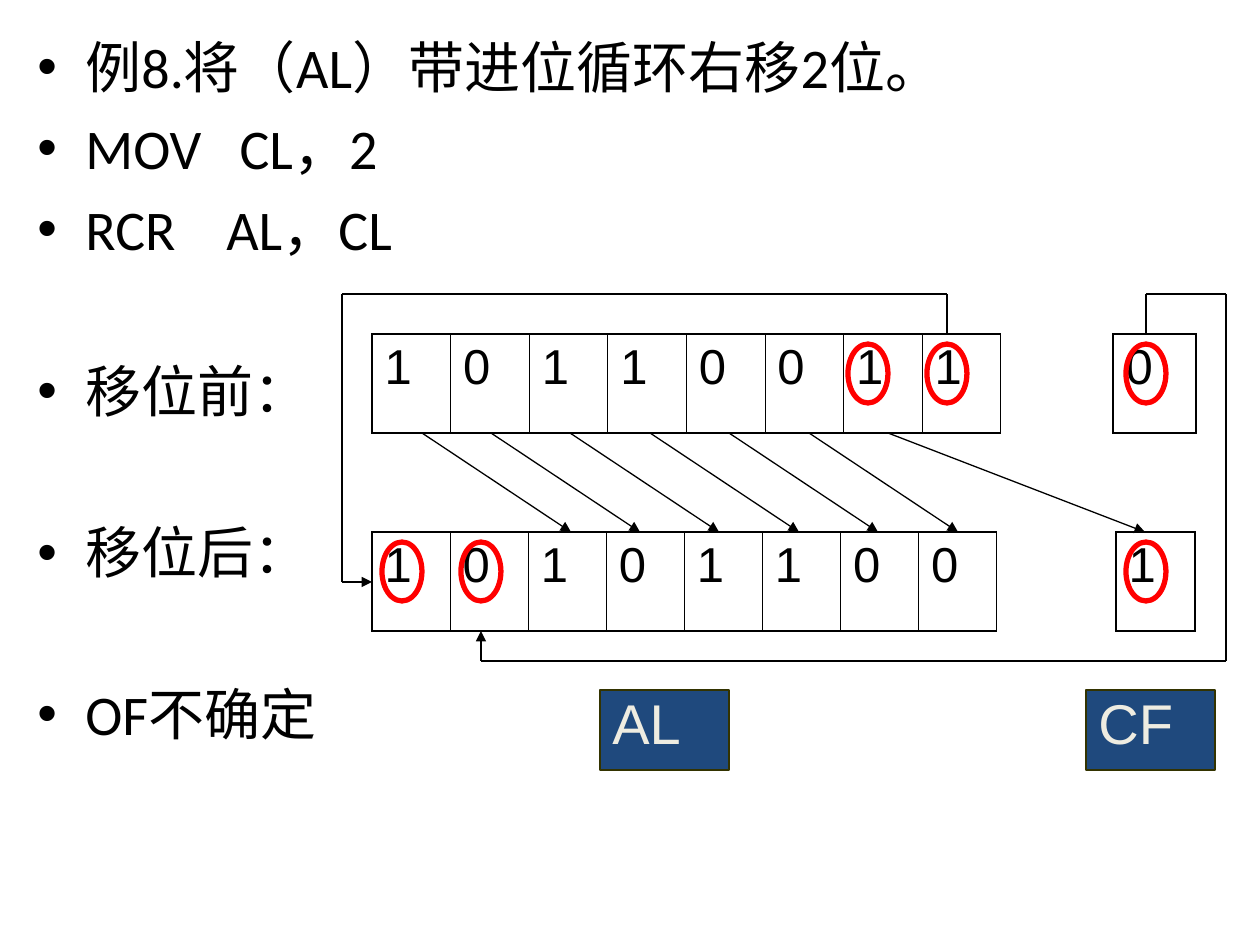
"""Build the slide on rotating AL right through the carry flag."""
from lxml import etree
from pptx import Presentation, util as u
from pptx.dml.color import RGBColor
from pptx.enum import shapes as s, text as t
from pptx.oxml import ns

rgb = RGBColor.from_string


def px(*nums):
    return [u.Emu(round(n * 914400 / 126)) for n in nums]


def write(par, word, size, font, hue):
    run = par.add_run()
    run.text = word
    run.font.size = u.Pt(size)
    run.font.name = font
    run.font.color.rgb = rgb(hue)
    return run


deck = Presentation()
deck.slide_width, deck.slide_height = px(1260, 945)
slide = deck.slides.add_slide(deck.slide_layouts[6])
parts = slide.shapes

body = parts.add_textbox(*px(25, 26, 1211, 893)).text_frame
body.word_wrap = True
lines = [
    (["例8.将（AL）带进位循环右移2位。"], 0, 8),
    (["MOV", " ", "CL，2"], 1450, 8),
    (["RCR", " ", "AL，CL"], 2170, 8),
    (["移位前："], 0, 54),
    (["移位后："], 0, 54),
    (["OF不确定"], 0, 54),
]
for i, (words, gap, before) in enumerate(lines):
    par = body.add_paragraph() if i else body.paragraphs[0]
    par.space_before = u.Pt(before)
    for word in words:
        run = write(par, word, 32, "Calibri", "000000")
        if word == " ":
            run.font._element.set("spc", str(gap))
    prop = par._p.get_or_add_pPr()
    dent = px(48)[0]
    prop.set("marL", str(dent))
    prop.set("indent", str(-dent))
    etree.SubElement(prop, ns.qn("a:buFont")).set("typeface", "Arial")
    etree.SubElement(prop, ns.qn("a:buChar")).set("char", "•")

grids = [
    ("10110011", 372, 334, 629),
    ("0", 1113, 334, 83),
    ("1", 1116, 532, 79),
    ("10101100", 372, 532, 625),
]
for bits, left, top, wide in grids:
    count = len(bits)
    frame = parts.add_table(1, count, *px(left, top, wide, 99))
    grid = frame.table
    grid.first_row = grid.horz_banding = False
    style = grid._tbl.tblPr.find(ns.qn("a:tableStyleId"))
    style.text = "{2D5ABB26-0587-4C30-8999-92F81FD0307C}"
    for i, bit in enumerate(bits):
        grid.columns[i].width = px(wide / count)[0]
        cell = grid.cell(0, i)
        par = cell.text_frame.paragraphs[0]
        par.space_before = u.Pt(7)
        write(par, bit, 28, "Arial", "000000")
        prop = cell._tc.get_or_add_tcPr()
        inner = {"L": i > 0, "R": i < count - 1, "T": False, "B": False}
        for side, thin in inner.items():
            edge = etree.SubElement(prop, ns.qn("a:ln" + side))
            edge.set("w", str(u.Pt(0.45 if thin else 1.08)))
            fill = etree.SubElement(edge, ns.qn("a:solidFill"))
            etree.SubElement(fill, ns.qn("a:srgbClr")).set("val", "000000")
        cell.fill.background()

for name, left in [("CF", 1086), ("AL", 600)]:
    box = parts.add_shape(s.MSO_SHAPE.RECTANGLE, *px(left, 690, 129, 80))
    box.shadow.inherit = False
    box.fill.solid()
    box.fill.fore_color.rgb = rgb("1F497D")
    box.line.color.rgb = rgb("333300")
    box.line.width = u.Pt(0.75)
    box.text_frame.vertical_anchor = t.MSO_ANCHOR.TOP
    par = box.text_frame.paragraphs[0]
    par.alignment = t.PP_ALIGN.LEFT
    par.line_spacing = 0.9
    write(par, name, 32, "Arial", "EEECE1")

rings = [(848, 344), (927, 344), (1126, 344), (382, 542), (461, 542), (1126, 542)]
for left, top in rings:
    ring = parts.add_shape(s.MSO_SHAPE.OVAL, *px(left, top, 40, 59))
    ring.shadow.inherit = False
    ring.fill.background()
    ring.line.color.rgb = rgb("FF0000")
    ring.line.width = u.Pt(3)

starts = [422] + [round(491 + 79.4 * i) for i in range(5)]
routes = [[(x, 433), (x + 149, 532)] for x in starts]
routes += [
    [(888, 433), (1145, 532)],
    [(1146, 334), (1146, 294), (1226, 294), (1226, 661), (481, 661), (481, 631)],
    [(947, 334), (947, 294), (342, 294), (342, 582), (372, 582)],
]
for route in routes:
    for start, end in zip(route, route[1:]):
        line = parts.add_connector(s.MSO_CONNECTOR.STRAIGHT, *px(*start, *end))
        line.line.color.rgb = rgb("000000")
        line.line.width = u.Pt(0.75)
        if end == route[-1]:
            tail = etree.SubElement(line.line._get_or_add_ln(), ns.qn("a:tailEnd"))
            tail.set("type", "triangle")
        etree.SubElement(line._element.spPr, ns.qn("a:effectLst"))

deck.save("out.pptx")
